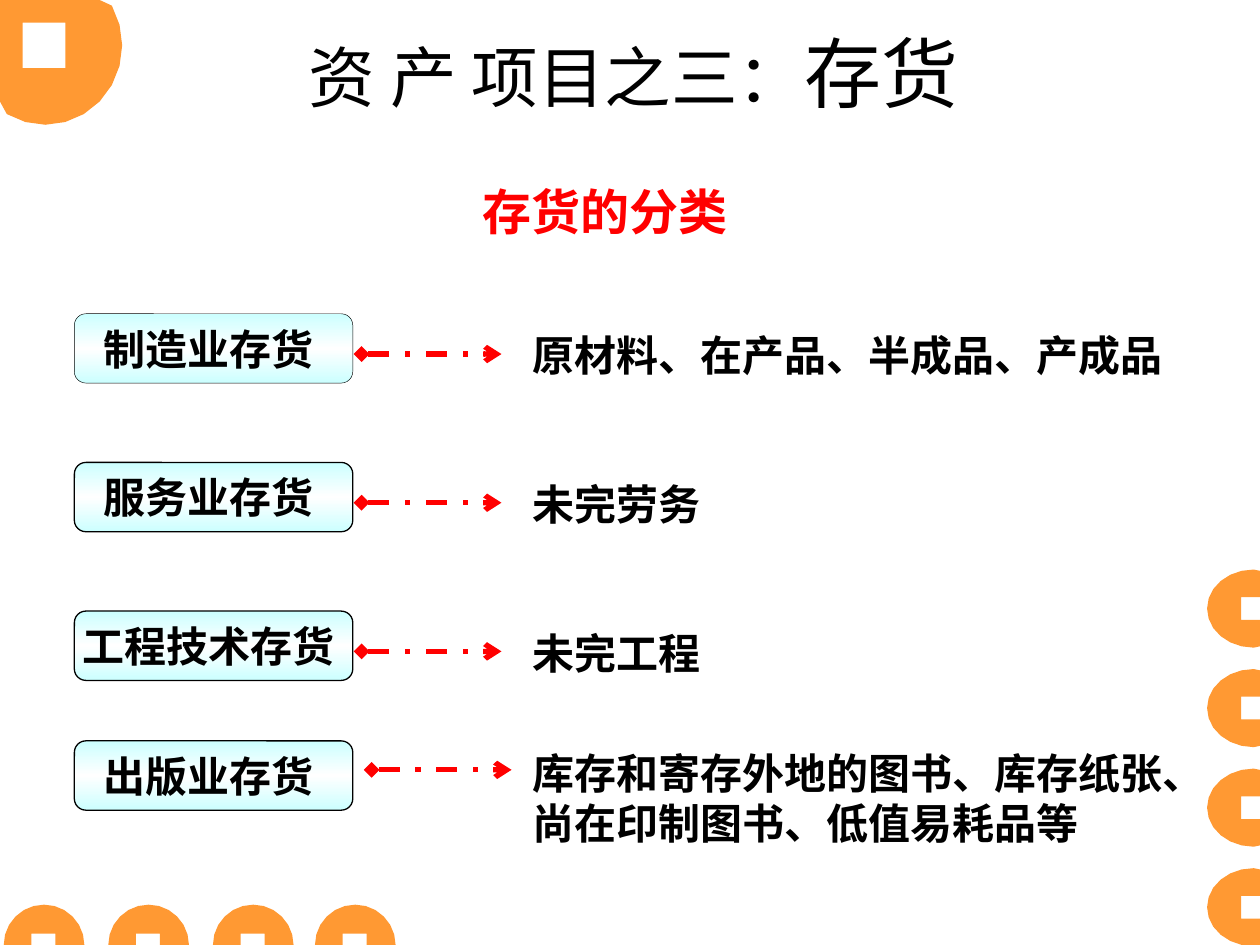
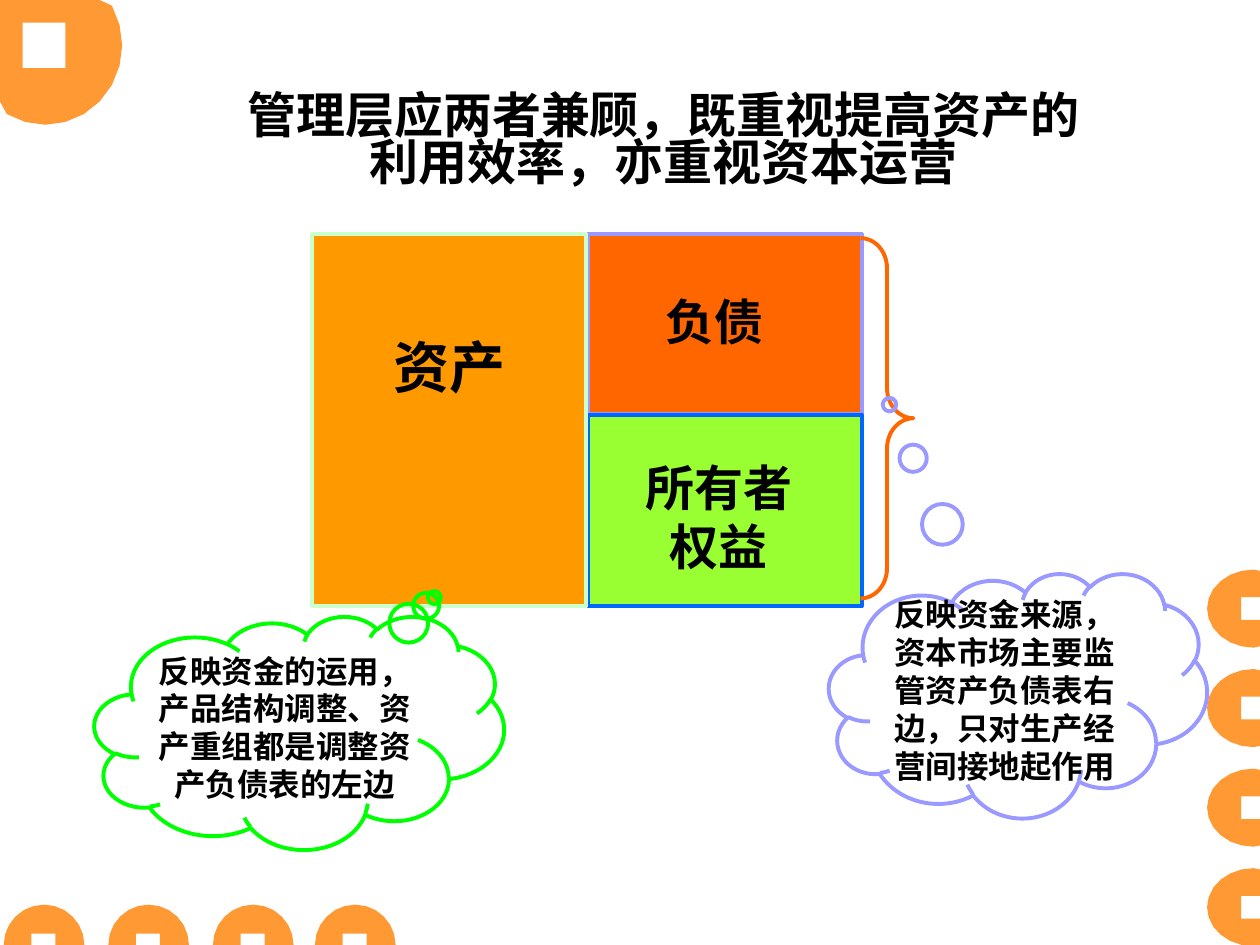
"""Build two slides on inventory classes and the balance sheet."""
from copy import deepcopy
from math import cos, pi, sin

from lxml import etree
from pptx import Presentation
from pptx.dml.color import RGBColor
from pptx.enum.dml import MSO_LINE
from pptx.enum.shapes import MSO_CONNECTOR, MSO_SHAPE
from pptx.enum.text import MSO_ANCHOR, MSO_AUTO_SIZE, PP_ALIGN
from pptx.oxml.ns import qn
from pptx.util import Inches, Pt

LEFT, CENTER = PP_ALIGN.LEFT, PP_ALIGN.CENTER
TOP, MIDDLE = MSO_ANCHOR.TOP, MSO_ANCHOR.MIDDLE
RECT, CLOUD = MSO_SHAPE.RECTANGLE, MSO_SHAPE.CLOUD_CALLOUT
PILL, BRACE = MSO_SHAPE.FLOWCHART_ALTERNATE_PROCESS, MSO_SHAPE.RIGHT_BRACE
STRAIGHT, DASH_DOT = MSO_CONNECTOR.STRAIGHT, MSO_LINE.DASH_DOT

BLACK = RGBColor(0x00, 0x00, 0x00)
WHITE = RGBColor(0xFF, 0xFF, 0xFF)
RED = RGBColor(0xFF, 0x00, 0x00)
COIN = RGBColor(0xFF, 0x99, 0x33)
CYAN = RGBColor(0xCC, 0xFF, 0xFF)
AMBER = RGBColor(0xFF, 0x99, 0x00)
ORANGE = RGBColor(0xFF, 0x66, 0x00)
LIME = RGBColor(0x99, 0xFF, 0x33)
MINT = RGBColor(0xCC, 0xFF, 0xCC)
LILAC = RGBColor(0x99, 0x99, 0xFF)
BLUE = RGBColor(0x00, 0x66, 0xFF)
GREEN = RGBColor(0x00, 0xFF, 0x00)

SANS, SERIF, ARIAL = "Noto Sans CJK SC", "Times New Roman", "Arial"
WIDTH, HEIGHT = 10, 7.5
RIM_STEPS, OVERHANG = 24, 0.1


def write(sp, text, size, font, align=CENTER, anchor=TOP, inset=0, color=BLACK):
    tf = sp.text_frame
    tf.word_wrap = True
    tf.auto_size = MSO_AUTO_SIZE.NONE
    tf.vertical_anchor = anchor
    tf.margin_left = tf.margin_right = Inches(inset)
    tf.margin_top = tf.margin_bottom = Inches(inset / 2)
    p = tf.paragraphs[0]
    p.text = text
    p.alignment = align
    p.font.size = Pt(size)
    p.font.name = font
    p.font.bold = True
    p.font.color.rgb = color
    return tf


def add_outlined(s, kind, box, line, width=2.25, fill=None):
    sp = s.shapes.add_shape(kind, *map(Inches, box))
    sp.shadow.inherit = False
    sp.line.color.rgb = line
    sp.line.width = Pt(width)
    if fill is None:
        sp.fill.background()
    else:
        sp.fill.solid()
        sp.fill.fore_color.rgb = fill
    return sp


prs = Presentation()
prs.slide_width, prs.slide_height = Inches(WIDTH), Inches(HEIGHT)
layout = prs.slide_layouts[5]
s = prs.slides.add_slide(layout)

coins = [(0.36, 0.36, 0.61, 0.63, (0.18, 0.18, 0.52, 0.54))]
for i in range(4):
    y = 4.83 + 0.79 * i
    coins.append((9.95, y, 0.37, 0.31, (9.85, y - 0.09, WIDTH, y + 0.09)))
for x in (0.35, 1.18, 2.01, 2.82):
    coins.append((x, HEIGHT, 0.32, 0.32, (x - 0.1, 7.41, x + 0.09, HEIGHT)))

for cx, cy, rx, ry, (l, t, r, b) in coins:
    rim = []
    for i in range(RIM_STEPS):
        x = cx + rx * cos(2 * pi * i / RIM_STEPS)
        y = cy + ry * sin(2 * pi * i / RIM_STEPS)
        inner_x, inner_y = min(max(x, 0), WIDTH), min(max(y, 0), HEIGHT)
        if max(abs(x - inner_x), abs(y - inner_y)) < OVERHANG:
            rim.append((Inches(inner_x), Inches(inner_y)))
    hole = [(Inches(x), Inches(y)) for x, y in ((l, t), (l, b), (r, b), (r, t))]
    builder = s.shapes.build_freeform(*rim[0])
    builder.add_line_segments(rim[1:])
    builder.move_to(*hole[0])
    builder.add_line_segments(hole[1:])
    sp = builder.convert_to_shape()
    sp.shadow.inherit = False
    sp.fill.solid()
    sp.fill.fore_color.rgb = COIN
    sp.line.fill.background()
    layout.shapes.element.append(sp.element)

title = s.shapes.title
title.left, title.top, title.width, title.height = map(Inches, (1.22, 0.21, 7.62, 0.72))
tf = write(title, "资 产 项目之三：", 38, SANS, anchor=MIDDLE)
p = tf.paragraphs[0]
p.font.bold = False
r = p.add_run()
r.text = "存货"
r.font.size = Pt(44)

heading = s.shapes.add_textbox(*map(Inches, (2.24, 1.39, 5.12, 0.57)))
write(heading, "存货的分类", 28, ARIAL, inset=0.1, color=RED)

rows = [
    (2.49, 0.25, 2.87, 2.81, 2.57, "制造业存货 ", "原材料、在产品、半成品、产成品"),
    (3.67, 0.75, 2.87, 3.99, 3.75, "服务业存货 ", "未完劳务"),
    (4.85, 0.75, 2.87, 5.17, 4.93, "工程技术存货 ", "未完工程"),
    (5.88, 0.75, 2.95, 6.11, 5.88, "出版业存货 ",
     "库存和寄存外地的图书、库存纸张、尚在印制图书、低值易耗品等"),
]
for top, width, arrow_x, arrow_y, text_y, industry, items in rows:
    sp = add_outlined(s, PILL, (0.59, top, 2.21, 0.55), BLACK, width)
    sp.fill.gradient()
    sp.fill.gradient_angle = 90
    edge, middle = sp.fill.gradient_stops
    edge.color.rgb, edge.position = CYAN, 0
    middle.color.rgb, middle.position = WHITE, 0.5
    stops = sp.element.spPr.find(".//" + qn("a:gsLst"))
    last = deepcopy(stops[0])
    last.set("pos", "100000")
    stops.append(last)
    write(sp, industry, 24, SANS, anchor=MIDDLE, inset=0.1).word_wrap = False

    arrow = s.shapes.add_connector(
        STRAIGHT, Inches(arrow_x), Inches(arrow_y), Inches(arrow_x + 1.11), Inches(arrow_y))
    arrow.line.color.rgb = RED
    arrow.line.width = Pt(3)
    arrow.line.dash_style = DASH_DOT
    spPr = arrow.element.spPr
    ln = spPr.find(qn("a:ln"))
    etree.SubElement(ln, qn("a:headEnd"), type="diamond")
    etree.SubElement(ln, qn("a:tailEnd"), type="arrow")
    etree.SubElement(spPr, qn("a:effectLst"))

    sp = s.shapes.add_textbox(*map(Inches, (4.13, text_y, 5.36, 0.5)))
    write(sp, items, 24, SANS, align=LEFT, inset=0.1)
sp.height = Inches(0.9)

s = prs.slides.add_slide(layout)
title = s.shapes.title
title.left, title.top, title.width, title.height = map(Inches, (1.85, 0.76, 6.83, 0.75))
tf = write(title, "管理层应两者兼顾，既重视提高资产的利用效率，亦重视资本运营", 28, SERIF)
tf.paragraphs[0].line_spacing = 0.8

add_outlined(s, RECT, (4.67, 1.86, 2.17, 1.43), LILAC, fill=ORANGE)
add_outlined(s, RECT, (4.67, 3.29, 2.17, 1.52), BLUE, fill=LIME)
assets = add_outlined(s, RECT, (2.48, 1.86, 2.17, 2.95), MINT, fill=AMBER)
write(assets, "资产", 32, SERIF).margin_top = Inches(0.78)

for box, text in [((5.17, 2.31, 1, 0.47), "负债"), ((5.08, 3.63, 1.25, 0.93), "所有者权益")]:
    write(s.shapes.add_textbox(*map(Inches, box)), text, 28, SERIF)

brace = add_outlined(s, BRACE, (6.83, 1.89, 0.42, 2.86), ORANGE)
brace.adjustments[0] = 0.57

clouds = [
    ((6.58, 4.55, 3, 1.94), (-0.34, -1.19), LILAC,
     "反映资金来源，资本市场主要监管资产负债表右边，只对生产经营间接地起作用"),
    ((0.75, 4.89, 3.25, 1.85), (0.33, -0.58), GREEN,
     "反映资金的运用，产品结构调整、资产重组都是调整资产负债表的左边"),
]
for box, tip, line, text in clouds:
    sp = add_outlined(s, CLOUD, box, line)
    sp.adjustments[0], sp.adjustments[1] = tip
    write(sp, text, 18, SERIF, anchor=MIDDLE)

prs.save("out.pptx")
